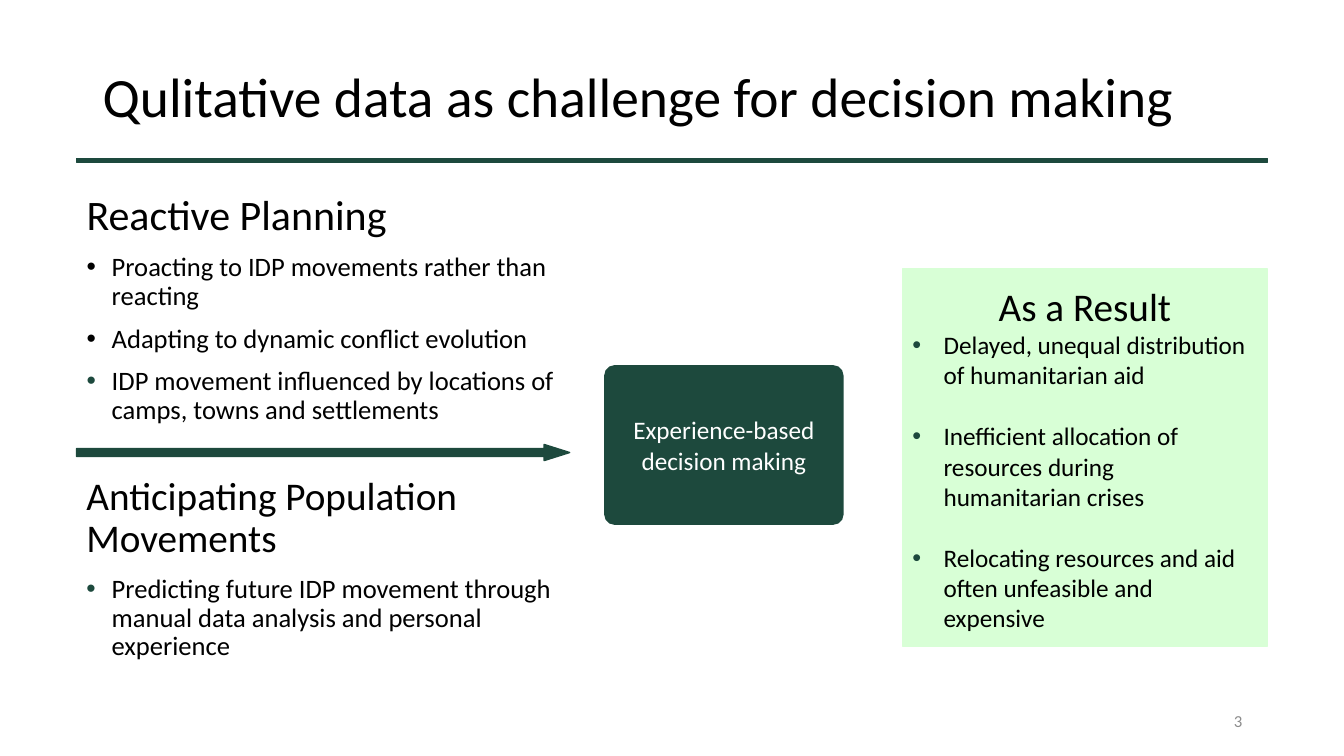
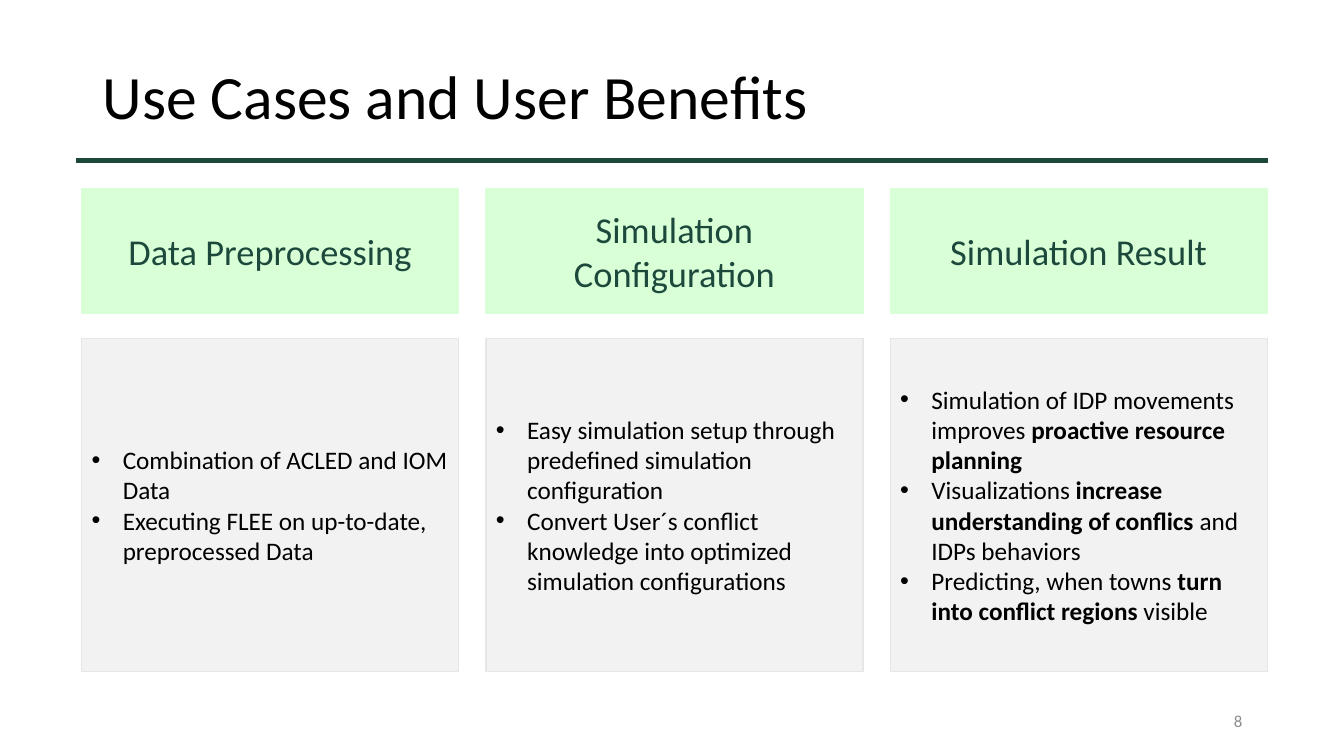
from lxml import etree
from pptx import Presentation
from pptx.dml.color import RGBColor
from pptx.enum.shapes import MSO_SHAPE
from pptx.enum.text import MSO_ANCHOR, PP_ALIGN
from pptx.oxml.ns import qn
from pptx.util import Inches, Pt

RECTANGLE = MSO_SHAPE.RECTANGLE
ROUNDED = MSO_SHAPE.ROUNDED_RECTANGLE
ARROW = MSO_SHAPE.RIGHT_ARROW
TOP, MIDDLE = MSO_ANCHOR.TOP, MSO_ANCHOR.MIDDLE
LEFT, CENTER, RIGHT = PP_ALIGN.LEFT, PP_ALIGN.CENTER, PP_ALIGN.RIGHT

FONT = "Calibri"
GREEN, MINT = "1D493D", "D8FFD6"
BLACK, WHITE = "000000", "FFFFFF"
PANEL, PANEL_EDGE, NUMBER_GRAY = "F2F2F2", "E7E6E6", "8C8C8C"

WIDTH, HEIGHT = 13.33, 7.5
MARGIN = 0.76
CONTENT_WIDTH = WIDTH - 2 * MARGIN
CONTENT_RIGHT = WIDTH - MARGIN

CHALLENGE = {"title": "Qulitative data as challenge for decision making", "size": 39.6, "number": "3"}
PLANNING_TOPICS = [
    {"heading": "Reactive Planning", "size": 30, "box": (MARGIN, 1.88, 5.18, 2.5),
     "bullets": [("Proacting to IDP movements rather than reacting", BLACK),
                 ("Adapting to dynamic conflict evolution", BLACK),
                 ("IDP movement influenced by locations of camps, towns and settlements", GREEN)]},
    {"heading": "Anticipating Population Movements", "size": 28, "box": (MARGIN, 4.68, 4.96, 2.1),
     "bullets": [("Predicting future IDP movement through manual data analysis and personal experience", GREEN)]},
]
DECISION = "Experience-based decision making"
RESULT_HEADING = "As a Result"
RESULTS = [
    "Delayed, unequal distribution of humanitarian aid",
    "Inefficient allocation of resources during humanitarian crises",
    "Relocating resources and aid often unfeasible and expensive",
]

BENEFITS = {"title": "Use Cases and User Benefits", "size": 44, "number": "8"}
USE_CASES = [
    ("Data Preprocessing",
     ["Combination of ACLED and IOM Data",
      "Executing FLEE on up-to-date, preprocessed Data"]),
    ("Simulation Configuration",
     ["Easy simulation setup through predefined simulation configuration",
      "Convert User´s conflict knowledge into optimized simulation configurations"]),
    ("Simulation Result",
     ["Simulation of IDP movements improves **proactive resource planning**",
      "Visualizations **increase understanding of conflics **and IDPs behaviors",
      "Predicting, when towns **turn into conflict regions **visible"]),
]


def color(value):
    return RGBColor.from_string(value)


def line(text, size, font_color=BLACK, align=LEFT, spacing=None, before=0, bullet=None, indent=0):
    return {"text": text, "size": size, "color": font_color, "align": align,
            "spacing": spacing, "before": before, "bullet": bullet, "indent": indent}


def add_bullet(paragraph, bullet_color, indent):
    properties = paragraph._p.get_or_add_pPr()
    properties.set("marL", str(Inches(indent)))
    properties.set("indent", str(-Inches(indent)))
    tint = etree.SubElement(properties, qn("a:buClr"))
    etree.SubElement(tint, qn("a:srgbClr"), val=bullet_color)
    etree.SubElement(properties, qn("a:buFont"), typeface="Arial")
    etree.SubElement(properties, qn("a:buChar"), char="•")


def write(shape, lines, anchor):
    frame = shape.text_frame
    frame.word_wrap = True
    frame.vertical_anchor = anchor
    for index, item in enumerate(lines):
        paragraph = frame.paragraphs[0] if index == 0 else frame.add_paragraph()
        if item["bullet"]:
            add_bullet(paragraph, item["bullet"], item["indent"])
        paragraph.alignment = item["align"]
        if item["spacing"]:
            paragraph.line_spacing = item["spacing"]
        if index:
            paragraph.space_before = Pt(item["before"])
        font = paragraph.font
        font.name, font.size = FONT, Pt(item["size"])
        font.color.rgb = color(item["color"])
        for part, text in enumerate(item["text"].split("**")):
            if text:
                run = paragraph.add_run()
                run.text = text
                if part % 2:
                    run.font.bold = True


def add_text(slide, box, lines, anchor=TOP):
    write(slide.shapes.add_textbox(*map(Inches, box)), lines, anchor)


def add_block(slide, box, fill, edge=None, kind=RECTANGLE, lines=(), adjustments=()):
    shape = slide.shapes.add_shape(kind, *map(Inches, box))
    shape.shadow.inherit = False
    shape.fill.solid()
    shape.fill.fore_color.rgb = color(fill)
    shape.line.color.rgb = color(edge or fill)
    shape.line.width = Pt(1)
    for index, value in enumerate(adjustments):
        shape.adjustments[index] = value
    write(shape, lines, MIDDLE)


def add_base_slide(presentation, content):
    slide = presentation.slides.add_slide(presentation.slide_layouts[6])
    add_text(slide, (0.92, 0.4, 11.5, 1.18),
             [line(content["title"], content["size"], spacing=0.9)], MIDDLE)
    add_text(slide, (9.42, 6.95, 3, 0.4),
             [line(content["number"], 12, NUMBER_GRAY, RIGHT)], MIDDLE)
    add_block(slide, (MARGIN, 1.57, CONTENT_WIDTH, 0.04), GREEN)
    return slide


def build_challenge(presentation):
    slide = add_base_slide(presentation, CHALLENGE)
    for topic in PLANNING_TOPICS:
        heading = line(topic["heading"], topic["size"], spacing=0.9)
        bullets = [line(text, 19, spacing=0.9, before=10, bullet=tint, indent=0.25)
                   for text, tint in topic["bullets"]]
        add_text(slide, topic["box"], [heading] + bullets)
    add_block(slide, (6, 3.63, 2.36, 1.57), GREEN, kind=ROUNDED, adjustments=(0.06,),
              lines=[line(DECISION, 18, WHITE, CENTER)])
    results = [line(text, 18, before=22 if index else 0, bullet=GREEN, indent=0.31)
               for index, text in enumerate(RESULTS)]
    result_width = 3.62
    add_block(slide, (CONTENT_RIGHT - result_width, 2.67, result_width, 3.74), MINT,
              lines=[line(RESULT_HEADING, 28, align=CENTER)] + results)
    add_block(slide, (MARGIN, 4.41, 4.89, 0.16), GREEN, kind=ARROW, adjustments=(0.5, 1.58))


def build_benefits(presentation):
    slide = add_base_slide(presentation, BENEFITS)
    column_width, gap = 3.74, 0.27
    header_top, header_height, panel_height = 1.87, 1.24, 3.3
    panel_top = header_top + header_height + 0.25
    first_left = CONTENT_RIGHT - len(USE_CASES) * (column_width + gap) + gap
    for column, (heading, bullets) in enumerate(USE_CASES):
        left = first_left + column * (column_width + gap)
        add_block(slide, (left, header_top, column_width, header_height), MINT,
                  lines=[line(heading, 26, GREEN, CENTER)])
        add_block(slide, (left, panel_top, column_width, panel_height), PANEL, PANEL_EDGE,
                  lines=[line(text, 18, bullet=BLACK, indent=0.31) for text in bullets])


def main():
    presentation = Presentation()
    presentation.slide_width = Inches(WIDTH)
    presentation.slide_height = Inches(HEIGHT)
    build_challenge(presentation)
    build_benefits(presentation)
    presentation.save("out.pptx")


if __name__ == "__main__":
    main()
